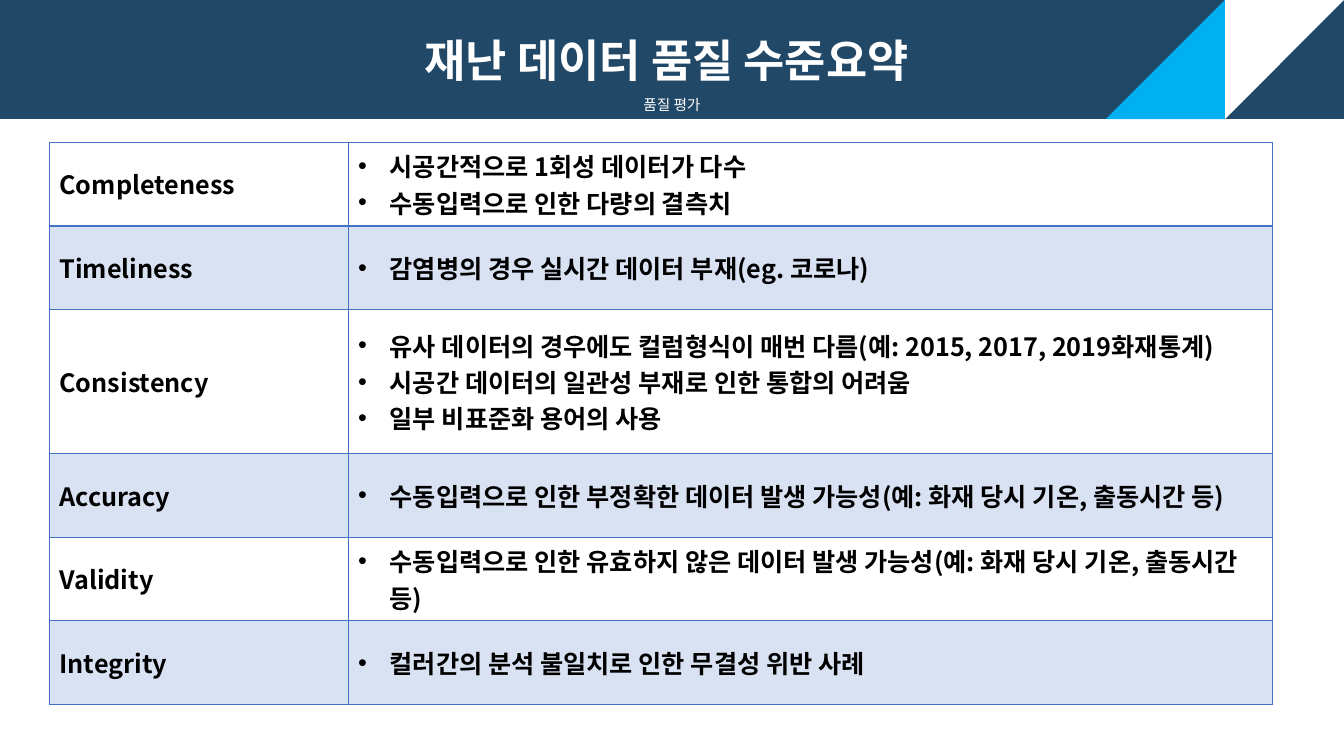
from lxml.etree import SubElement
from pptx import Presentation
from pptx.dml.color import RGBColor as RGB
from pptx.enum.shapes import MSO_SHAPE as Shape
from pptx.enum.text import MSO_ANCHOR as Anchor, MSO_AUTO_SIZE as AutoSize, PP_ALIGN as Align
from pptx.oxml import parse_xml
from pptx.oxml.ns import nsdecls, qn
from pptx.util import Pt

FONT = "Noto Sans CJK KR"
COLORS = {"navy": "214867", "sky": "00B0F0", "blue": "4472C4", "white": "FFFFFF", "black": "000000"}

HEADING = [("재난 데이터 품질 수준요약 ", 32, True), ("품질 평가", 10.5, False)]
CORNERS = [("white", 1, 90), ("sky", 2, 270)]
QUALITY = [
    ("Completeness", ["시공간적으로 1회성 데이터가 다수", "수동입력으로 인한 다량의 결측치"]),
    ("Timeliness", ["감염병의 경우 실시간 데이터 부재(eg. 코로나)"]),
    ("Consistency", [
        "유사 데이터의 경우에도 컬럼형식이 매번 다름(예: 2015, 2017, 2019화재통계)",
        "시공간 데이터의 일관성 부재로 인한 통합의 어려움",
        "일부 비표준화 용어의 사용",
    ]),
    ("Accuracy", ["수동입력으로 인한 부정확한 데이터 발생 가능성(예: 화재 당시 기온, 출동시간 등)"]),
    ("Validity", ["수동입력으로 인한 유효하지 않은 데이터 발생 가능성(예: 화재 당시 기온, 출동시간 등)"]),
    ("Integrity", ["컬러간의 분석 불일치로 인한 무결성 위반 사례"]),
]

SLIDE_W, SLIDE_H, BANNER_H = 960, 540, 85
TABLE_LEFT, TABLE_TOP = 35.3, 101.5
COLUMN_WIDTHS = (213.4, 660)
ROW_H, TALL_ROW_H = 59.8, 102.8
INDENT = 22.5


def color(name):
    return RGB.from_string(COLORS[name])


def write(frame, lines, ink, bullet=False):
    for index, (text, size, bold) in enumerate(lines):
        paragraph = frame.paragraphs[0] if index == 0 else frame.add_paragraph()
        paragraph.text = text
        font = paragraph.font
        font.size, font.bold, font.name = Pt(size), bold, FONT
        font.color.rgb = color(ink)
        properties = paragraph._p.get_or_add_pPr()
        defaults = properties.find(qn("a:defRPr"))
        SubElement(defaults, qn("a:ea"), typeface=FONT)
        if bullet:
            properties.set("marL", str(Pt(INDENT)))
            properties.set("indent", str(-Pt(INDENT)))
            defaults.addprevious(parse_xml(f'<a:buFont {nsdecls("a")} typeface="Arial"/>'))
            defaults.addprevious(parse_xml(f'<a:buChar {nsdecls("a")} char="•"/>'))


def add_borders(cell, row):
    widths = {"L": 1, "R": 1, "T": 2 if row == 1 else 1, "B": 2 if row == 0 else 1}
    for position, (side, width) in enumerate(widths.items()):
        cell._tc.get_or_add_tcPr().insert(position, parse_xml(
            f'<a:ln{side} {nsdecls("a")} w="{Pt(width)}"><a:solidFill>'
            f'<a:srgbClr val="{COLORS["blue"]}"/></a:solidFill></a:ln{side}>'))


def add_banner(slide):
    banner = slide.shapes.title
    banner.left, banner.top, banner.width, banner.height = 0, 0, Pt(SLIDE_W), Pt(BANNER_H)
    banner.fill.solid()
    banner.fill.fore_color.rgb = color("navy")
    frame = banner.text_frame
    frame.word_wrap, frame.auto_size = True, AutoSize.NONE
    frame.vertical_anchor = Anchor.MIDDLE
    write(frame, HEADING, "white")
    for paragraph in frame.paragraphs:
        paragraph.alignment = Align.CENTER
        paragraph.line_spacing = 1.5
        paragraph.space_before = Pt(0)
    for fill, step, rotation in CORNERS:
        corner = slide.shapes.add_shape(
            Shape.RIGHT_TRIANGLE, Pt(SLIDE_W - step * BANNER_H), 0, Pt(BANNER_H), Pt(BANNER_H))
        corner.rotation = rotation
        corner.shadow.inherit = False
        corner.fill.solid()
        corner.fill.fore_color.rgb = color(fill)
        corner.line.fill.background()


def add_quality_table(slide):
    heights = [TALL_ROW_H if len(findings) > 2 else ROW_H for _, findings in QUALITY]
    table = slide.shapes.add_table(
        len(QUALITY), len(COLUMN_WIDTHS), Pt(TABLE_LEFT), Pt(TABLE_TOP),
        Pt(sum(COLUMN_WIDTHS)), Pt(sum(heights))).table
    table.first_row = table.horz_banding = False
    for column, width in zip(table.columns, COLUMN_WIDTHS):
        column.width = Pt(width)
    for row, (criterion, findings) in enumerate(QUALITY):
        table.rows[row].height = Pt(heights[row])
        for column, texts in enumerate(([criterion], findings)):
            cell = table.cell(row, column)
            cell.vertical_anchor = Anchor.MIDDLE
            write(cell.text_frame, [(text, 18, True) for text in texts], "black", column == 1)
            if row % 2:
                cell.fill.solid()
                cell.fill.fore_color.rgb = color("blue")
                tint = cell._tc.tcPr.find(qn("a:solidFill"))[0]
                SubElement(tint, qn("a:alpha"), val="20000")
            else:
                cell.fill.background()
            add_borders(cell, row)


def main():
    deck = Presentation()
    deck.slide_width, deck.slide_height = Pt(SLIDE_W), Pt(SLIDE_H)
    slide = deck.slides.add_slide(deck.slide_layouts[5])
    add_banner(slide)
    add_quality_table(slide)
    deck.save("out.pptx")


if __name__ == "__main__":
    main()
